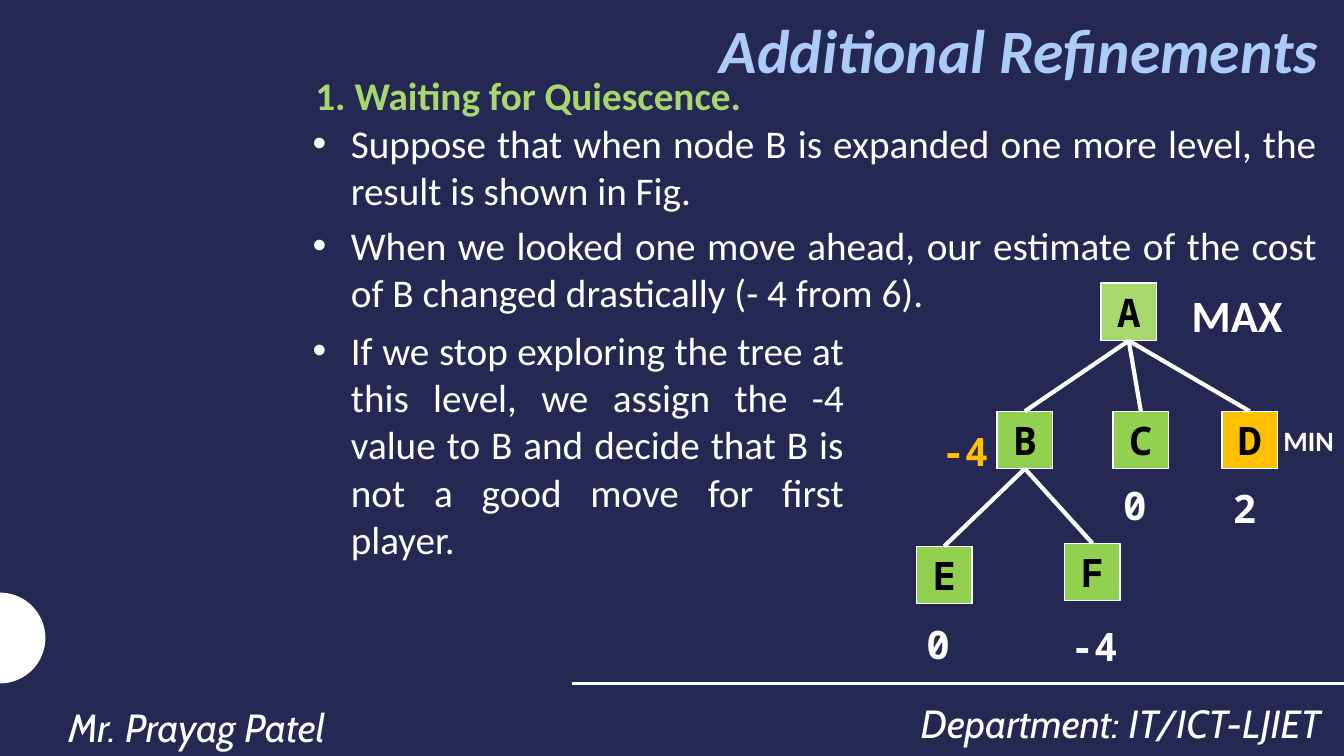
from math import cos, pi, sin

from lxml import etree
from pptx import Presentation
from pptx.dml.color import RGBColor
from pptx.enum import shapes, text
from pptx.oxml.ns import qn
from pptx.util import Inches, Pt

WHITE, GREEN, AMBER = "FFFFFF", "92D050", "FFC000"
MONO = "Noto Sans Mono"
LEFT, CENTER, RIGHT, JUST = (text.PP_ALIGN.LEFT, text.PP_ALIGN.CENTER,
                             text.PP_ALIGN.RIGHT, text.PP_ALIGN.JUSTIFY)


def color(code):
    return RGBColor.from_string(code)


def write(shape, lines, font, size, code, bold=False, italic=False,
          align=LEFT, wrap=True):
    """Fill a shape with one paragraph per line, all in one style."""
    frame = shape.text_frame
    frame.text = "\n".join(lines)
    frame.word_wrap = wrap
    frame.auto_size = text.MSO_AUTO_SIZE.NONE
    for par in frame.paragraphs:
        par.alignment = align
        for run in par.runs:
            run.font.name, run.font.size = font, Pt(size)
            run.font.bold, run.font.italic = bold, italic
            run.font.color.rgb = color(code)


deck = Presentation()
deck.slide_width, deck.slide_height = Inches(13.33), Inches(7.5)
slide = deck.slides.add_slide(deck.slide_layouts[3])
slide.background.fill.solid()
slide.background.fill.fore_color.rgb = color("242852")
items = slide.shapes

# Half disc on the left edge
radius, steps = 0.45, 48
arc = [(Inches(radius * sin(pi * i / steps)),
        Inches(6.33 - radius * cos(pi * i / steps))) for i in range(steps + 1)]
pen = items.build_freeform(*arc[0])
pen.add_line_segments(arc[1:], close=True)
disc = pen.convert_to_shape()
disc.shadow.inherit = False
disc.fill.solid()
disc.fill.fore_color.rgb = color(WHITE)
disc.line.fill.background()

# Title and lists
title = items.title
title.left, title.top, title.width, title.height = map(
    Inches, (2.12, 0.03, 11.06, 0.9))
title.text_frame.vertical_anchor = text.MSO_ANCHOR.MIDDLE
write(title, ["Additional Refinements"], "Calibri", 44, "ACCBF9",
      bold=True, italic=True, align=RIGHT)

lists = [
    ((2.99, 1.13, 10.17, 2.07),
     ["Suppose that when node B is expanded one more level, the result is "
      "shown in Fig.",
      "When we looked one move ahead, our estimate of the cost of B changed "
      "drastically (- 4 from 6)."]),
    ((2.99, 3.19, 5.48, 2.46),
     ["If we stop exploring the tree at this level, we assign the -4 value to "
      "B and decide that B is not a good move for first player."]),
]
for num, (area, lines) in enumerate(lists, 1):
    body = slide.placeholders[num]
    body.left, body.top, body.width, body.height = map(Inches, area)
    write(body, lines, "Calibri", 28, WHITE, align=JUST)
    for par in body.text_frame.paragraphs:
        par.space_before, par.space_after = Pt(0), Pt(6)
        props = par._p.get_or_add_pPr()
        props.set("marL", str(Inches(0.39)))
        props.set("indent", str(Inches(-0.38)))
        etree.SubElement(props, qn("a:buFont")).set("typeface", "Arial")
        etree.SubElement(props, qn("a:buChar")).set("char", "•")

# Heading, footer and the labels round the tree
head = items.add_textbox(*map(Inches, (3.03, 0.66, 5.97, 0.57)))
write(head, ["1. Waiting for Quiescence."], "Calibri", 28, "A6D86E",
      bold=True, align=JUST)

footers = [("Department: IT/ICT-LJIET", (8.08, 6.82, 5.12, 0.63), RIGHT),
           ("Mr. Prayag Patel", (0.58, 6.86, 8.52, 0.63), LEFT)]
for words, area, align in footers:
    box = items.add_textbox(*map(Inches, area))
    write(box, [words], "Cabin", 28, WHITE, italic=True, align=align)
    box.text_frame.paragraphs[0].line_spacing = 1.14

scores = [("0", 11.04, 4.73, 0.55, WHITE), ("0", 9.09, 6.1, 0.42, WHITE),
          ("2", 12.13, 4.76, 0.55, WHITE), ("-4", 10.52, 6.12, 0.67, WHITE),
          ("-4", 9.24, 4.19, 0.7, AMBER)]
for value, x, y, wide, code in scores:
    box = items.add_textbox(*map(Inches, (x, y, wide, 0.57)))
    write(box, [value], MONO, 28, code, bold=True)

levels = [("MAX", (11.72, 2.81, 1.11, 0.64), 32),
          ("MIN", (12.63, 4.15, 0.71, 0.44), 20)]
for name, area, size in levels:
    box = items.add_textbox(*map(Inches, area))
    write(box, [name], "Calibri", size, WHITE, bold=True, wrap=False)

# Game tree
spots = {"A": (10.92, 2.81, "A6D86E"), "B": (9.89, 4.08, GREEN),
         "C": (11.04, 4.08, GREEN), "D": (12.12, 4.08, AMBER),
         "E": (9.09, 5.42, GREEN), "F": (10.56, 5.39, GREEN)}
nodes = {}
for name, (x, y, code) in spots.items():
    node = items.add_shape(shapes.MSO_SHAPE.RECTANGLE,
                           *map(Inches, (x, y, 0.55, 0.57)))
    node.shadow.inherit = False
    node.fill.solid()
    node.fill.fore_color.rgb = color(code)
    node.line.color.rgb, node.line.width = color(WHITE), Pt(1)
    node.text_frame.vertical_anchor = text.MSO_ANCHOR.MIDDLE
    write(node, [name], MONO, 28, "000000", bold=True, align=CENTER, wrap=False)
    nodes[name] = node

STRAIGHT = shapes.MSO_CONNECTOR.STRAIGHT
rule = items.add_connector(STRAIGHT, *map(Inches, (5.67, 6.78, 13.33, 6.78)))
links = [(rule, 2)]
for top, low in ("AB", "AC", "AD", "BE", "BF"):
    edge = items.add_connector(STRAIGHT, 0, 0, 0, 0)
    edge.begin_connect(nodes[top], 2)
    edge.end_connect(nodes[low], 0)
    links.append((edge, 3))
for link, width in links:
    link.line.color.rgb, link.line.width = color(WHITE), Pt(width)
    etree.SubElement(link._element.spPr, qn("a:effectLst"))

deck.save("out.pptx")
